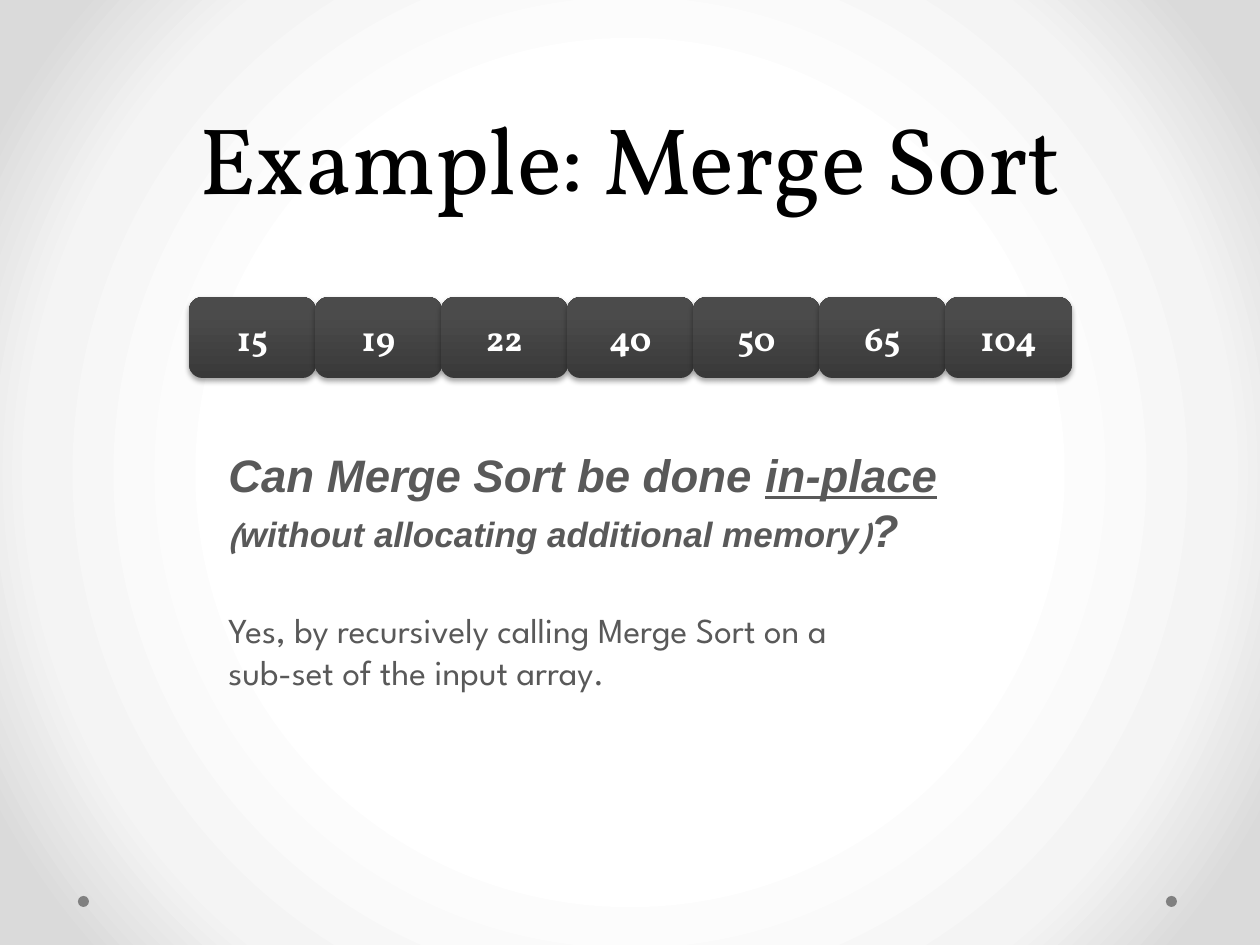
from lxml.etree import SubElement
from pptx import Presentation
from pptx.dml.color import RGBColor
from pptx.enum.shapes import MSO_SHAPE
from pptx.enum.text import MSO_ANCHOR, PP_ALIGN
from pptx.oxml.ns import qn
from pptx.util import Emu, Pt

BLACK = RGBColor(0x00, 0x00, 0x00)
WHITE = RGBColor(0xFF, 0xFF, 0xFF)
PALE = RGBColor(0xF4, 0xF4, 0xF4)
SILVER = RGBColor(0xDA, 0xDA, 0xDA)
DOT_GRAY = RGBColor(0x80, 0x80, 0x80)
TEXT_GRAY = RGBColor(0x59, 0x59, 0x59)
CELL_DARK = RGBColor(0x39, 0x39, 0x39)
CELL_LIGHT = RGBColor(0x4B, 0x4B, 0x4B)
SCALE = 9144000 / 1260


def px(*lengths):
    return [Emu(round(length * SCALE)) for length in lengths]


def set_stops(gradient, stops):
    """Fill an emptied gradient element with (percent, colour) stops."""
    for child in list(gradient):
        gradient.remove(child)
    stop_list = SubElement(gradient, qn("a:gsLst"))
    for percent, color in stops:
        stop = SubElement(stop_list, qn("a:gs"), pos=str(percent * 1000))
        SubElement(stop, qn("a:srgbClr"), val=str(color))


deck = Presentation()
deck.slide_width, deck.slide_height = px(1260, 945)
page = deck.slides.add_slide(deck.slide_layouts[6])

# Background: radial gradient from the centre
page.background.fill.gradient()
gradient = next(page._element.iter(qn("a:gradFill")))
set_stops(gradient, [(50, WHITE), (76, PALE), (92, SILVER)])
radial = SubElement(gradient, qn("a:path"), path="circle")
SubElement(radial, qn("a:fillToRect"), l="50000", t="50000", r="50000", b="50000")

# Footer dots
for left in (1166, 78):
    dot = page.shapes.add_shape(MSO_SHAPE.OVAL, *px(left, 896, 11, 11))
    dot.shadow.inherit = False
    dot.fill.solid()
    dot.fill.fore_color.rgb = DOT_GRAY
    dot.line.fill.background()

# Title
box = page.shapes.add_textbox(*px(63, 0, 1134, 220))
box.text_frame.word_wrap = True
box.text_frame.vertical_anchor = MSO_ANCHOR.BOTTOM
para = box.text_frame.paragraphs[0]
para.alignment = PP_ALIGN.CENTER
para.line_spacing = Pt(58)
span = para.add_run()
span.text = "Example: Merge Sort"
span.font.name = "Vollkorn"
span.font.size = Pt(54)
span.font.color.rgb = BLACK

# Sorted array
for index, value in enumerate([15, 19, 22, 40, 50, 65, 104]):
    cell = page.shapes.add_shape(
        MSO_SHAPE.ROUNDED_RECTANGLE, *px(189 + 126 * index, 297, 127, 81))
    cell.line.fill.background()
    cell.fill.gradient()
    gradient = next(cell._element.iter(qn("a:gradFill")))
    set_stops(gradient, [(0, CELL_DARK), (80, CELL_LIGHT), (100, CELL_LIGHT)])
    SubElement(gradient, qn("a:lin"), ang="16200000", scaled="0")

    cell.shadow.inherit = False
    effects = next(cell._element.iter(qn("a:effectLst")))
    shadow = SubElement(effects, qn("a:outerShdw"), blurRad=str(Pt(3.1)),
                        dist=str(Pt(1.8)), dir="5400000", rotWithShape="0")
    shade = SubElement(shadow, qn("a:srgbClr"), val=str(BLACK))
    SubElement(shade, qn("a:alpha"), val="35000")

    cell.text_frame.vertical_anchor = MSO_ANCHOR.MIDDLE
    para = cell.text_frame.paragraphs[0]
    para.alignment = PP_ALIGN.CENTER
    span = para.add_run()
    span.text = str(value)
    span.font.name = "Vollkorn"
    span.font.size = Pt(20)
    span.font.bold = True
    span.font.color.rgb = WHITE

# Question and answer: (space after, emphasis, [(text, font, size, underline)])
paragraphs = [
    (30, True, [
        ("Can Merge Sort be done ", "Arial", 26, False),
        ("in-place", "Arial", 26, True),
        (" ", "Arial", 26, False),
        ("(", "League Spartan", 20, False),
        ("without allocating additional memory", "Arial", 20, False),
        (")", "League Spartan", 20, False),
        ("?", "Arial", 26, False),
    ]),
    (0, False, [("Yes, by recursively calling Merge Sort on a",
                 "League Spartan", 20, False)]),
    (30, False, [("sub-set of the input array.", "League Spartan", 20, False)]),
]
box = page.shapes.add_textbox(*px(216, 441, 829, 261))
frame = box.text_frame
frame.word_wrap = True
for index, (space_after, emphasis, spans) in enumerate(paragraphs):
    para = frame.add_paragraph() if index else frame.paragraphs[0]
    para.space_after = Pt(space_after)
    for text, font_name, size, underline in spans:
        span = para.add_run()
        span.text = text
        span.font.name = font_name
        span.font.size = Pt(size)
        span.font.bold = emphasis
        span.font.italic = emphasis
        span.font.underline = underline
        span.font.color.rgb = TEXT_GRAY

deck.save("out.pptx")
